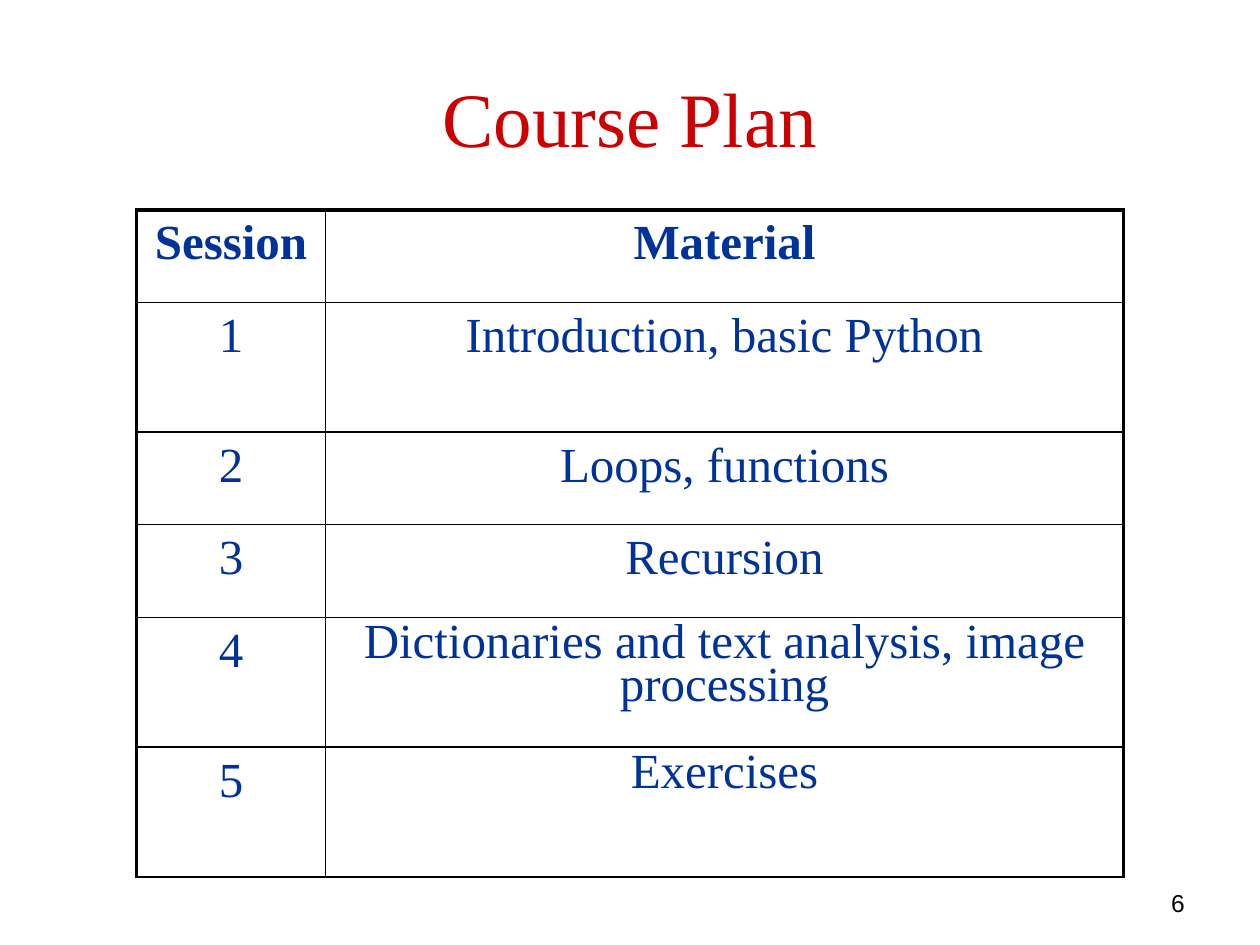
from lxml import etree
from pptx import Presentation
from pptx.dml.color import RGBColor
from pptx.enum.text import MSO_ANCHOR, PP_ALIGN
from pptx.oxml.ns import qn
from pptx.util import Pt

CENTER, RIGHT = PP_ALIGN.CENTER, PP_ALIGN.RIGHT
TOP, MIDDLE = MSO_ANCHOR.TOP, MSO_ANCHOR.MIDDLE

COLORS = {"title": "CC0000", "table": "003399", "number": "000000", "border": "000000"}
SERIF, SANS = "Times New Roman", "Arial"
TITLE = "Course Plan"
PAGE_NUMBER = "6"
ROWS = [
    ("Session", "Material"),
    ("1", "Introduction, basic Python"),
    ("2", "Loops, functions"),
    ("3", "Recursion"),
    ("4", "Dictionaries and text analysis, image processing"),
    ("5", "Exercises"),
]
ROW_HEIGHTS = [52.8, 74.2, 52.8, 53, 74.2, 74.2]
COLUMN_WIDTHS = [108, 456]
TABLE_LEFT, TABLE_TOP = 78, 120
TIGHT_ROWS = (4, 5)
THICK, THIN = 2.25, 1


def style(para, align, size, font, color, bold=False):
    para.alignment = align
    para.font.size = Pt(size)
    para.font.name = font
    para.font.bold = bold
    para.font.color.rgb = RGBColor.from_string(COLORS[color])


def add_text(page, text, place, anchor, *look):
    box = page.shapes.add_textbox(*map(Pt, place))
    frame = box.text_frame
    frame.word_wrap = True
    frame.vertical_anchor = anchor
    frame.text = text
    style(frame.paragraphs[0], *look)


def add_borders(cell, widths):
    properties = cell._tc.get_or_add_tcPr()
    for index, (side, width) in enumerate(widths.items()):
        line = etree.Element(qn("a:ln" + side), w=str(Pt(width)))
        fill = etree.SubElement(line, qn("a:solidFill"))
        etree.SubElement(fill, qn("a:srgbClr"), val=COLORS["border"])
        properties.insert(index, line)


def add_plan(page):
    size = (sum(COLUMN_WIDTHS), sum(ROW_HEIGHTS))
    frame = page.shapes.add_table(
        len(ROWS), len(COLUMN_WIDTHS), Pt(TABLE_LEFT), Pt(TABLE_TOP), *map(Pt, size)
    )
    table = frame.table
    table.horz_banding = False
    for column, width in zip(table.columns, COLUMN_WIDTHS):
        column.width = Pt(width)
    for r, (texts, height) in enumerate(zip(ROWS, ROW_HEIGHTS)):
        table.rows[r].height = Pt(height)
        for c, text in enumerate(texts):
            cell = table.cell(r, c)
            cell.text = text
            cell.fill.background()
            para = cell.text_frame.paragraphs[0]
            style(para, CENTER, 28, SERIF, "table", r == 0)
            if c == 1 and r in TIGHT_ROWS:
                para.line_spacing = 0.8
            add_borders(cell, {
                "L": THICK if c == 0 else THIN,
                "R": THICK if c == 1 else THIN,
                "T": THICK if r == 0 else THIN,
                "B": THIN,
            })


deck = Presentation()
deck.slide_width, deck.slide_height = Pt(720), Pt(540)
page = deck.slides.add_slide(deck.slide_layouts[6])
add_text(page, PAGE_NUMBER, (516, 504, 168, 18), TOP, RIGHT, 14, SANS, "number")
add_text(page, TITLE, (36, 21.6, 648, 90), MIDDLE, CENTER, 44, SERIF, "title")
add_plan(page)
deck.save("out.pptx")
